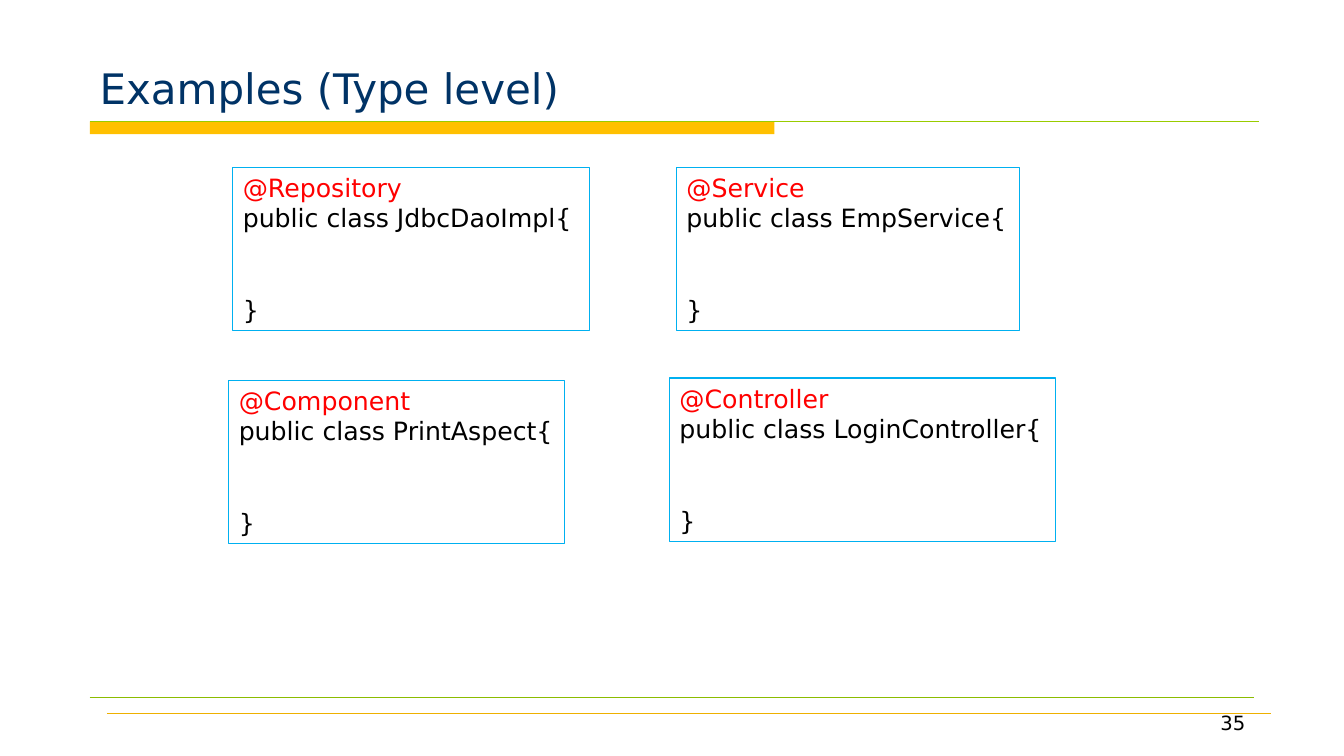
import pptx
import pptx.util
import pptx.dml.color
import pptx.enum.shapes
import pptx.enum.text
import pptx.oxml.ns
import lxml.etree

FONT = "DejaVu Sans"
TITLE = "Examples (Type level)"
PAGE = "35"
LEFT = 0.89
CARD_HEIGHT = 1.62
BLANK_LINES = 44
CARDS = [
    ("@Repository", "public class JdbcDaoImpl{", 2.31, 1.66, 3.54),
    ("@Service", "public class EmpService{", 6.71, 1.66, 3.4),
    ("@Component", "public class PrintAspect{", 2.27, 3.77, 3.33),
    ("@Controller", "public class LoginController{", 6.64, 3.75, 3.83),
]
RULES = [
    (LEFT, 1.21, 11.6, "99CC00", 0.75),
    (LEFT, 6.92, 11.55, "8BBC00", 0.25),
    (1.06, 7.08, 11.55, "EEB000", 0.25),
]
ALIGN = pptx.enum.text.PP_ALIGN
ANCHOR = pptx.enum.text.MSO_ANCHOR
RECTANGLE = pptx.enum.shapes.MSO_SHAPE.RECTANGLE


def rgb(value):
    return pptx.dml.color.RGBColor.from_string(value)


def inches(*values):
    return [pptx.util.Inches(v) for v in values]


def style(p, text, size, color, align=ALIGN.LEFT):
    p.text = text
    p.alignment = align
    p.font.name = FONT
    p.font.size = pptx.util.Pt(size)
    p.font.color.rgb = rgb(color)


def add_label(s, box, text, size, color, align, anchor):
    tf = s.shapes.add_textbox(*inches(*box)).text_frame
    tf.word_wrap = True
    tf.vertical_anchor = anchor
    style(tf.paragraphs[0], text, size, color, align)


def add_rule(s, x, y, length, color, width):
    line = s.shapes.add_connector(
        pptx.enum.shapes.MSO_CONNECTOR.STRAIGHT, *inches(x, y, x + length, y))
    line.line.color.rgb = rgb(color)
    line.line.width = pptx.util.Pt(width)
    lxml.etree.SubElement(line._element.spPr, pptx.oxml.ns.qn("a:effectLst"))


def add_bar(s):
    sp = s.shapes.add_shape(RECTANGLE, *inches(LEFT, 1.21, 6.79, 0.12))
    sp.shadow.inherit = False
    sp.fill.solid()
    sp.fill.fore_color.rgb = rgb("FFC000")
    sp.line.fill.background()


def add_card(s, annotation, declaration, x, y, width):
    sp = s.shapes.add_shape(RECTANGLE, *inches(x, y, width, CARD_HEIGHT))
    sp.shadow.inherit = False
    sp.fill.background()
    sp.line.color.rgb = rgb("00B0F0")
    sp.line.width = pptx.util.Pt(0.75)
    tf = sp.text_frame
    tf.word_wrap = False
    tf.vertical_anchor = ANCHOR.TOP
    style(tf.paragraphs[0], annotation, 18, "FF0000")
    style(tf.add_paragraph(), declaration, 18, "000000")
    p = tf.add_paragraph()
    style(p, "}", 18, "000000")
    p.space_before = pptx.util.Pt(BLANK_LINES)


def main():
    """Build the slide of type-level annotation examples."""
    prs = pptx.Presentation()
    prs.slide_width, prs.slide_height = inches(13.33, 7.5)
    s = prs.slides.add_slide(prs.slide_layouts[6])
    add_bar(s)
    for rule in RULES:
        add_rule(s, *rule)
    add_label(s, (LEFT, 0.17, 11.67, 1), TITLE, 30, "003366", ALIGN.LEFT, ANCHOR.BOTTOM)
    add_label(s, (9.56, 7, 2.89, 0.34), PAGE, 14, "000000", ALIGN.RIGHT, ANCHOR.TOP)
    for card in CARDS:
        add_card(s, *card)
    prs.save("out.pptx")


if __name__ == "__main__":
    main()
